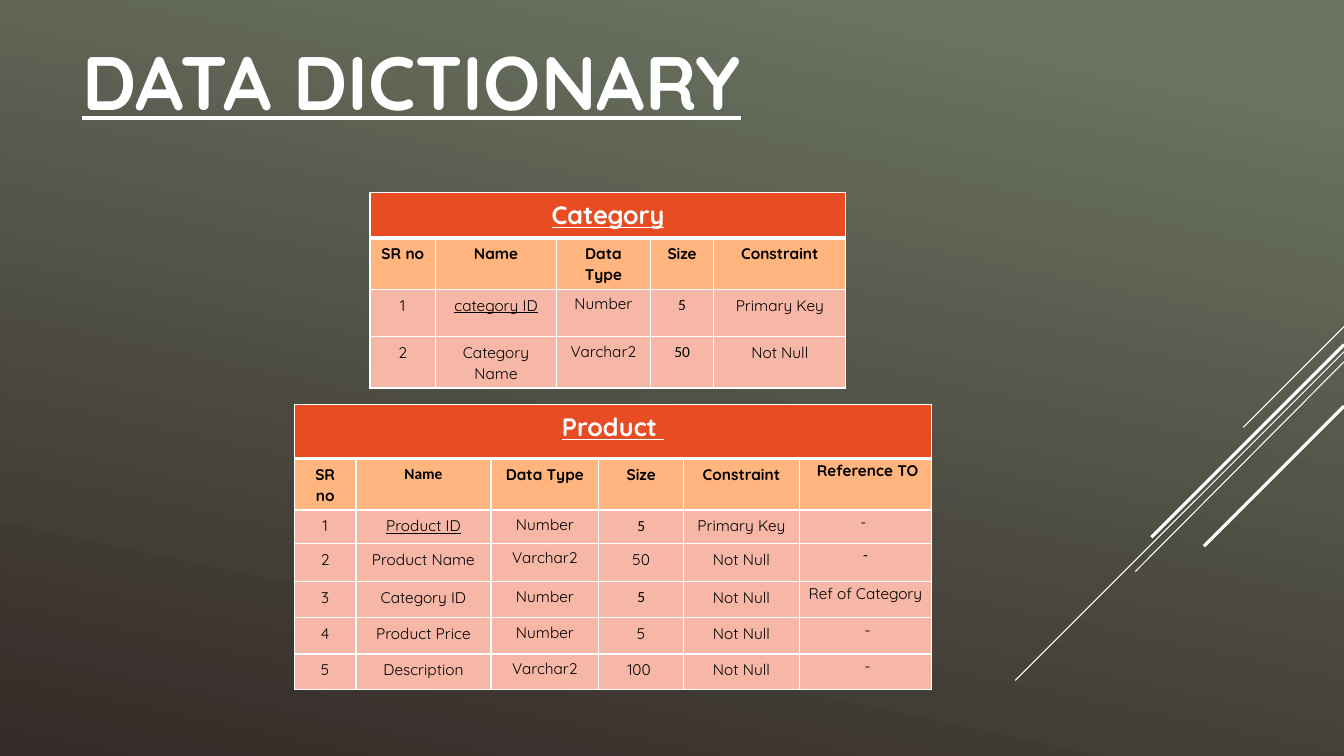
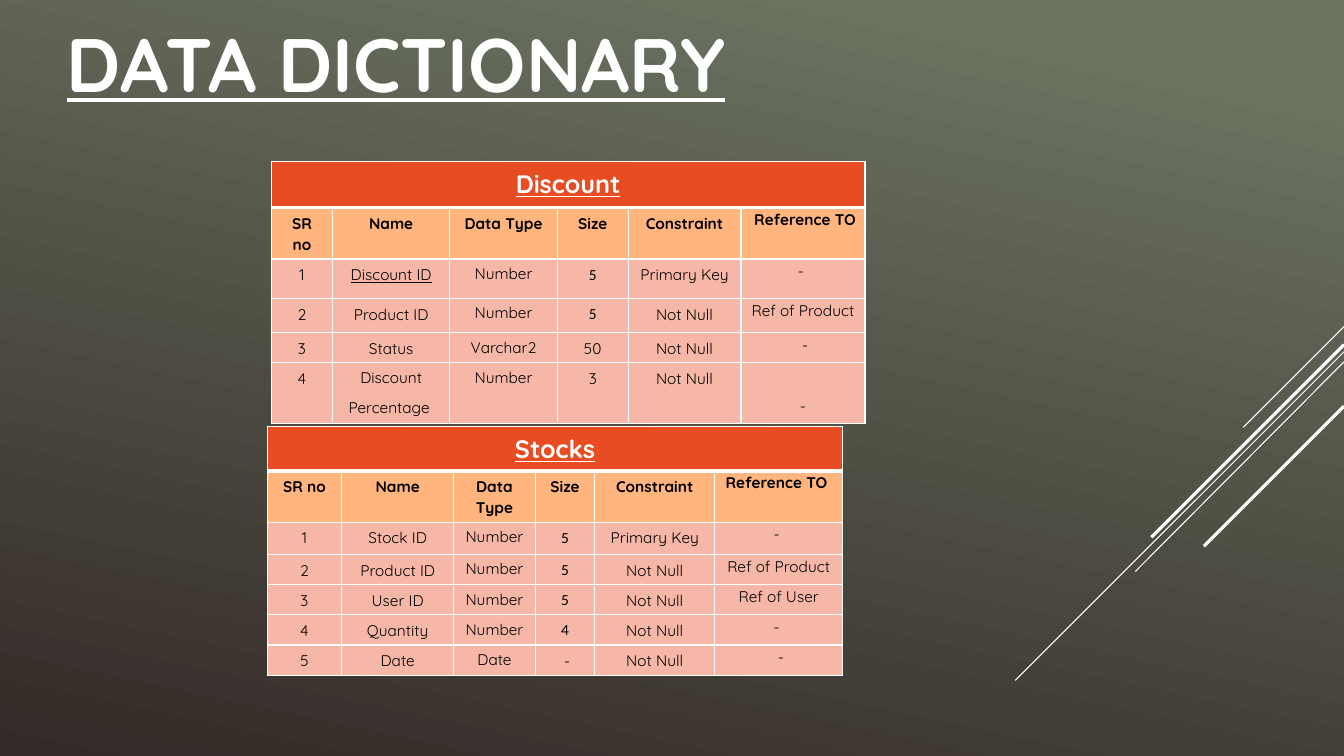
"""Build two data dictionary slides with a shared backdrop and table style."""
import dataclasses

import lxml.etree
import pptx
import pptx.dml.color
import pptx.enum.shapes
import pptx.enum.text
import pptx.oxml.ns
import pptx.util

Inches = pptx.util.Inches
Pt = pptx.util.Pt


@dataclasses.dataclass(frozen=True)
class Theme:
    font: str = "Quicksand"
    alternate_font: str = "Calibri"
    white: str = "FFFFFF"
    black: str = "000000"
    backdrop: tuple = ((0.1, "6A7260"), (1, "342A27"))
    backdrop_angle: int = 258
    heading_fill: str = "E84C22"
    label_fill: str = "FFB57D"
    body_fill: str = "F6B7A7"
    title_size: int = 54
    heading_size: int = 18
    body_size: int = 11
    line_spacing: float = 1.07
    space_after: int = 8
    border: int = 1
    heading_border: int = 3


@dataclasses.dataclass(frozen=True)
class Entry:
    text: str
    alternate: bool = False
    underline: bool = False
    top: float = None


def alt(text):
    return Entry(text, alternate=True)


def key(text):
    return Entry(text, underline=True)


THEME = Theme()
TITLE = "DATA DICTIONARY"
TITLE_WIDTH = 7.36
TYPE_COLUMN, REFERENCE_COLUMN = 2, 5
REFERENCE_MARGIN = 0.01

RAYS = [
    (3.24, 12.33, 4.24, 0.75),
    (3.49, 10.07, 6.75, 0.75),
    (3.59, 11.26, 5.67, 0.75),
    (3.42, 11.42, 5.33, 2.25),
    (4.03, 11.94, 5.42, 2.25),
]

CATEGORY = {
    "heading": "Category",
    "at": (3.67, 1.91),
    "columns": [0.65, 1.2, 0.93, 0.63, 1.31],
    "heights": [0.45, 0.51, 0.47, 0.51],
    "rows": [
        ["SR no", "Name", "Data Type", "Size", "Constraint"],
        ["1", key("category ID"), "Number", alt("5"), "Primary Key"],
        ["2", "Category Name", "Varchar2", alt("50"), "Not Null"],
    ],
}
PRODUCT = {
    "heading": "Product ",
    "at": (2.92, 4.01),
    "columns": [0.61, 1.34, 1.07, 0.84, 1.15, 1.31],
    "heights": [0.54, 0.51, 0.33, 0.38, 0.36, 0.36, 0.35],
    "rows": [
        ["SR no", alt("Name"), "Data Type", "Size", "Constraint", " Reference TO"],
        ["1", key("Product ID"), "Number", alt("5"), "Primary Key", "- "],
        ["2", "Product Name", "Varchar2", "50", "Not Null", alt("-")],
        ["3", "Category ID", "Number", alt("5"), "Not Null", "Ref of Category"],
        ["4", "Product Price", "Number", "5", "Not Null", " -"],
        ["5", "Description", "Varchar2", "100 ", "Not Null", " -"],
    ],
}
STOCKS = {
    "heading": "Stocks",
    "at": (2.65, 4.23),
    "columns": [0.74, 1.11, 0.81, 0.59, 1.19, 1.27],
    "heights": [0.44, 0.51, 0.32, 0.3, 0.3, 0.3, 0.3],
    "rows": [
        ["SR no", "Name", "Data Type", "Size", "Constraint", "Reference TO "],
        ["1", "Stock ID", "Number", alt("5"), "Primary Key", "- "],
        ["2", "Product ID", "Number", alt("5"), "Not Null", "Ref of Product"],
        ["3", "User ID", "Number", alt("5"), "Not Null", "Ref of User"],
        ["4", "Quantity", "Number", alt("4"), "Not Null", "- "],
        ["5", "Date", "Date", " -", "Not Null", " -"],
    ],
}
DISCOUNT = {
    "heading": "Discount",
    "at": (2.69, 1.6),
    "columns": [0.61, 1.16, 1.07, 0.7, 1.12, 1.23],
    "heights": [0.46, 0.51, 0.39, 0.34, 0.3, 0.6],
    "rows": [
        ["SR no", "Name", "Data Type", "Size", "Constraint", " Reference TO"],
        ["1", key("Discount ID"), "Number", alt("5"), "Primary Key", "- "],
        ["2", "Product ID", "Number", alt("5"), "Not Null", "Ref of Product"],
        ["3", "Status", "Varchar2", "50", "Not Null", " -"],
        ["4", "Discount\nPercentage ", "Number", "3", "Not Null", Entry("-", top=0.32)],
    ],
}
PAGES = [
    {"title_at": (0.4, 0.32), "title_height": 0.95, "tables": [CATEGORY, PRODUCT]},
    {"title_at": (0.25, 0.09), "title_height": 1.05, "tables": [STOCKS, DISCOUNT]},
]


def rgb(value):
    return pptx.dml.color.RGBColor.from_string(value)


def style_paragraph(para, size, color, bold=False, underline=False, name=THEME.font):
    para.alignment = pptx.enum.text.PP_ALIGN.CENTER
    font = para.font
    font.name, font.size = name, Pt(size)
    font.bold, font.underline = bold, underline
    font.color.rgb = rgb(color)


def paint_backdrop(layout):
    fill = layout.background.fill
    fill.gradient()
    fill.gradient_angle = THEME.backdrop_angle
    for stop, (position, color) in zip(fill.gradient_stops, THEME.backdrop):
        stop.position = position
        stop.color.rgb = rgb(color)


def move_rays_to_layout(page, layout, right):
    for top, left, bottom, width in RAYS:
        ray = page.shapes.add_connector(
            pptx.enum.shapes.MSO_CONNECTOR.STRAIGHT,
            right, Inches(top), Inches(left), Inches(bottom))
        ray.line.color.rgb = rgb(THEME.white)
        ray.line.width = Pt(width)
        lxml.etree.SubElement(ray.element.spPr, pptx.oxml.ns.qn("a:effectLst"))
        layout.shapes.element.append(ray.element)


def add_title(page, at, height):
    left, top = at
    box = page.shapes.add_textbox(
        Inches(left), Inches(top), Inches(TITLE_WIDTH), Inches(height))
    frame = box.text_frame
    frame.word_wrap = True
    frame.vertical_anchor = pptx.enum.text.MSO_ANCHOR.MIDDLE
    frame.text = TITLE
    style_paragraph(frame.paragraphs[0], THEME.title_size, THEME.white, True, True)


def set_borders(cell, top, bottom):
    qn = pptx.oxml.ns.qn
    properties = cell._tc.get_or_add_tcPr()
    widths = {"L": THEME.border, "R": THEME.border, "T": top, "B": bottom}
    for index, (side, width) in enumerate(widths.items()):
        line = lxml.etree.Element(qn(f"a:ln{side}"), w=str(Pt(width)))
        fill = lxml.etree.SubElement(line, qn("a:solidFill"))
        lxml.etree.SubElement(fill, qn("a:srgbClr"), val=THEME.white)
        properties.insert(index, line)


def fill_cell(cell, entry, row, column):
    if isinstance(entry, str):
        entry = Entry(entry)
    heading, label = row == 0, row == 1
    cell.text = entry.text
    if column == REFERENCE_COLUMN:
        cell.margin_left = cell.margin_right = Inches(REFERENCE_MARGIN)
        cell.margin_top, cell.margin_bottom = Inches(entry.top or REFERENCE_MARGIN), 0
    paragraphs = cell.text_frame.paragraphs
    single_spaced = (column == TYPE_COLUMN and not label) or len(paragraphs) > 1
    for para in paragraphs:
        style_paragraph(
            para,
            THEME.heading_size if heading else THEME.body_size,
            THEME.white if heading else THEME.black,
            heading or label,
            heading or entry.underline,
            THEME.alternate_font if entry.alternate else THEME.font)
        para.line_spacing = 1.0 if single_spaced else THEME.line_spacing
        para.space_after = Pt(THEME.space_after)


def add_dictionary(page, content):
    columns, heights = content["columns"], content["heights"]
    left, top = content["at"]
    table = page.shapes.add_table(
        len(heights), len(columns), Inches(left), Inches(top),
        Inches(sum(columns)), Inches(sum(heights))).table
    table.first_row = table.horz_banding = False
    for column, width in zip(table.columns, columns):
        column.width = Inches(width)
    for row, height in zip(table.rows, heights):
        row.height = Inches(height)
    table.cell(0, 0).merge(table.cell(0, len(columns) - 1))
    fills = [THEME.heading_fill, THEME.label_fill, THEME.body_fill]
    for row in range(len(heights)):
        for column in range(len(columns)):
            cell = table.cell(row, column)
            cell.fill.solid()
            cell.fill.fore_color.rgb = rgb(fills[min(row, 2)])
            set_borders(
                cell,
                THEME.heading_border if row == 1 else THEME.border,
                THEME.heading_border if row == 0 else THEME.border)
    fill_cell(table.cell(0, 0), content["heading"], 0, 0)
    for row, entries in enumerate(content["rows"], 1):
        for column, entry in enumerate(entries):
            fill_cell(table.cell(row, column), entry, row, column)


def main():
    deck = pptx.Presentation()
    deck.slide_width, deck.slide_height = Inches(13.33), Inches(7.5)
    layout = deck.slide_layouts[6]
    paint_backdrop(layout)
    for index, content in enumerate(PAGES):
        page = deck.slides.add_slide(layout)
        if index == 0:
            move_rays_to_layout(page, layout, deck.slide_width)
        add_title(page, content["title_at"], content["title_height"])
        for table in content["tables"]:
            add_dictionary(page, table)
    deck.save("out.pptx")


if __name__ == "__main__":
    main()
